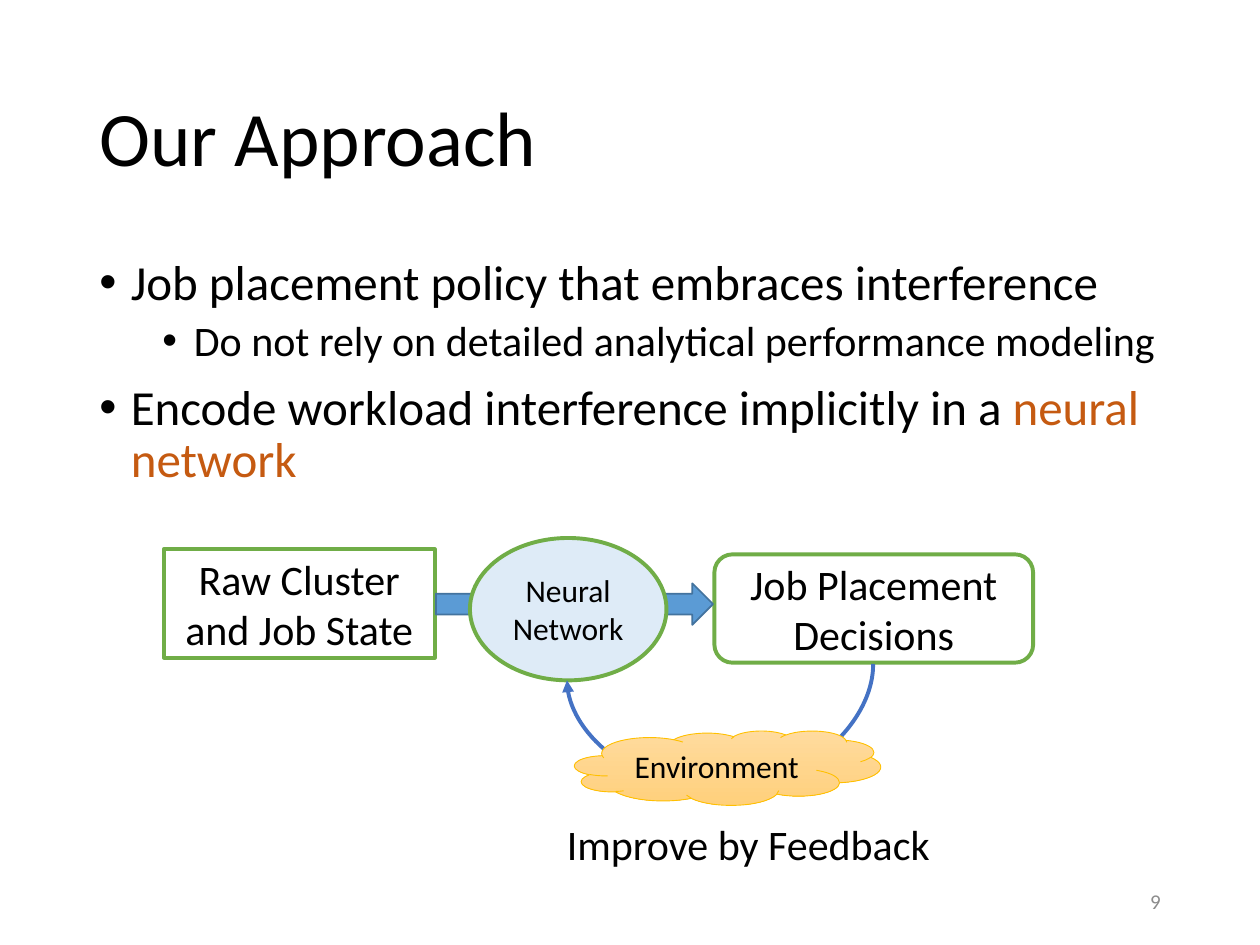
from lxml import etree
from pptx import Presentation
from pptx import util as u
from pptx.dml.color import RGBColor
from pptx.enum import shapes, text
from pptx.oxml import ns

PX = 9144  # EMU per px, 100 px to the inch
FONT = "Calibri"
COLORS = {
    "ink": "000000", "accent": "C55A11", "number": "8C8C8C", "paper": "FFFFFF",
    "green": "70AD47", "arrow": "5B9BD5", "arrow_edge": "43739E",
    "network": "DEEBF7", "loop": "4472C4",
    "cloud_top": "FFDB9E", "cloud_base": "FFD07C", "cloud_edge": "FFC000",
}
KIND = shapes.MSO_SHAPE
ALIGN = text.PP_ALIGN
MIDDLE = text.MSO_ANCHOR.MIDDLE


def color(name):
    return RGBColor.from_string(COLORS[name])


def emu(*lengths):
    return [length * PX for length in lengths]


def add_child(parent, tag, **attributes):
    return etree.SubElement(parent, ns.qn(tag), attributes)


def add_span(para, words, size, ink="ink"):
    span = para.add_run()
    span.text = words
    span.font.name = FONT
    span.font.size = u.Pt(size)
    span.font.color.rgb = color(ink)


def add_label(slide, box, words, size, ink="ink", align=ALIGN.LEFT,
              anchor=MIDDLE, spacing=1.0, wrap=True):
    frame = slide.shapes.add_textbox(*emu(*box)).text_frame
    frame.word_wrap = wrap
    frame.vertical_anchor = anchor
    para = frame.paragraphs[0]
    para.alignment = align
    para.line_spacing = spacing
    add_span(para, words, size, ink)


def add_bullets(slide, box, items):
    frame = slide.shapes.add_textbox(*emu(*box)).text_frame
    frame.word_wrap = True
    for index, (level, spans) in enumerate(items):
        para = frame.add_paragraph() if index else frame.paragraphs[0]
        para.level = level
        para.line_spacing = 0.9
        para.space_before = u.Pt((5 if level else 10) if index else 0)
        props = para._p.get_or_add_pPr()
        props.set("marL", str((25 + 50 * level) * PX))
        props.set("indent", str(-25 * PX))
        add_child(props, "a:buFont", typeface="Arial")
        add_child(props, "a:buChar", char="•")
        for words, ink in spans:
            add_span(para, words, 24 if level else 28, ink)


def add_node(slide, kind, box, fill, edge, width, words="", size=24):
    node = slide.shapes.add_shape(kind, *emu(*box))
    node.shadow.inherit = False
    if isinstance(fill, tuple):
        node.fill.gradient()
        node.fill.gradient_angle = 270
        for stop, name in zip(node.fill.gradient_stops, fill):
            stop.color.rgb = color(name)
    else:
        node.fill.solid()
        node.fill.fore_color.rgb = color(fill)
    node.line.color.rgb = color(edge)
    node.line.width = u.Pt(width)
    if words:
        frame = node.text_frame
        frame.word_wrap = True
        frame.vertical_anchor = MIDDLE
        frame.paragraphs[0].alignment = ALIGN.CENTER
        add_span(frame.paragraphs[0], words, size)


def add_loop(slide, box, bulge):
    """A curved connector turned a quarter, bulging downwards."""
    left, top, width, height = box
    loop = slide.shapes.add_connector(
        shapes.MSO_CONNECTOR.CURVE, *emu(left, top, left + width, top + height))
    loop.line.color.rgb = color("loop")
    loop.line.width = u.Pt(2.25)
    props = loop._element.spPr
    props.find(ns.qn("a:xfrm")).set("rot", "5400000")
    guides = props.find(ns.qn("a:prstGeom")).find(ns.qn("a:avLst"))
    add_child(guides, "a:gd", name="adj1", fmla=f"val {bulge}")
    add_child(props.find(ns.qn("a:ln")), "a:tailEnd", type="triangle")
    add_child(props, "a:effectLst")


def add_diagram(slide, left, top):
    def at(x, y, width, height):
        return left + x, top + y, width, height

    # Input, output and the flow through the network
    add_node(slide, KIND.RECTANGLE, at(0, 9, 215, 86), "paper", "green", 2.25,
             "Raw Cluster and Job State")
    add_node(slide, KIND.ROUNDED_RECTANGLE, at(437, 13, 253, 86), "paper",
             "green", 2.25, "Job Placement Decisions")
    add_node(slide, KIND.RIGHT_ARROW, at(216, 36, 220, 33), "arrow",
             "arrow_edge", 1)
    add_node(slide, KIND.OVAL, at(243, 0, 156, 113), "network", "green", 2.25,
             "Neural Network", 18)
    # Feedback through the environment
    add_loop(slide, at(435, -15, 13, 243), 775300)
    add_label(slide, at(310, 218, 311, 50), "Improve by Feedback", 24,
              anchor=text.MSO_ANCHOR.TOP, wrap=False)
    add_node(slide, KIND.CLOUD, at(326, 153, 243, 59),
             ("cloud_top", "cloud_base"), "cloud_edge", 0.5, "Environment", 18)


def main():
    deck = Presentation()
    deck.slide_width, deck.slide_height = emu(1000, 750)
    slide = deck.slides.add_slide(deck.slide_layouts[6])
    # Title and bullets
    add_label(slide, (69, 40, 862, 145), "Our Approach", 44, spacing=0.9)
    add_bullets(slide, (69, 200, 862, 194), [
        (0, [("Job placement policy that embraces interference", "ink")]),
        (1, [("Do not rely on detailed analytical performance modeling", "ink")]),
        (0, [("Encode workload interference implicitly in a ", "ink"),
             ("neural network", "accent")]),
    ])
    # Diagram and slide number
    add_diagram(slide, 130, 427)
    add_label(slide, (706, 695, 225, 40), "9", 12, "number", ALIGN.RIGHT)
    deck.save("out.pptx")


if __name__ == "__main__":
    main()
